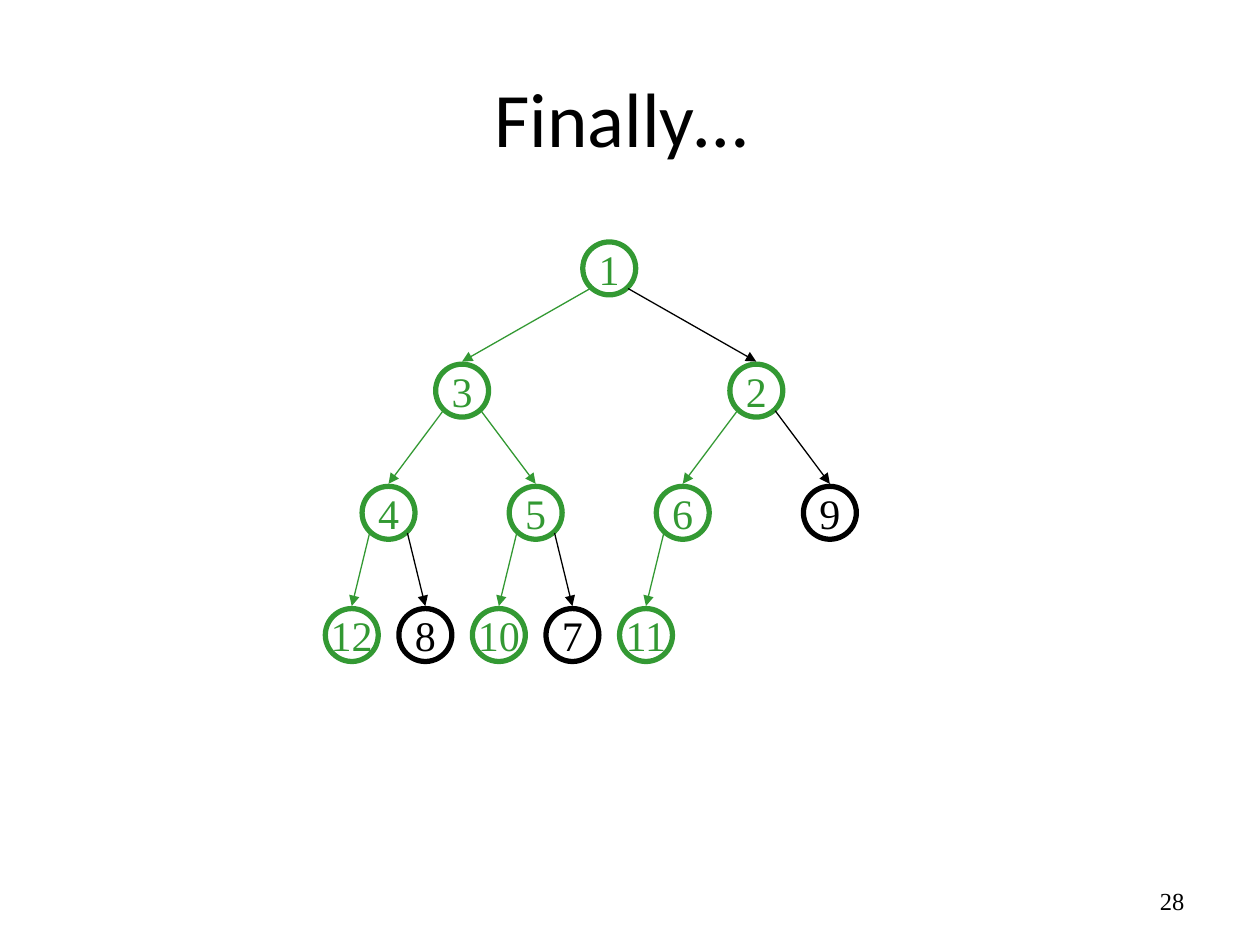
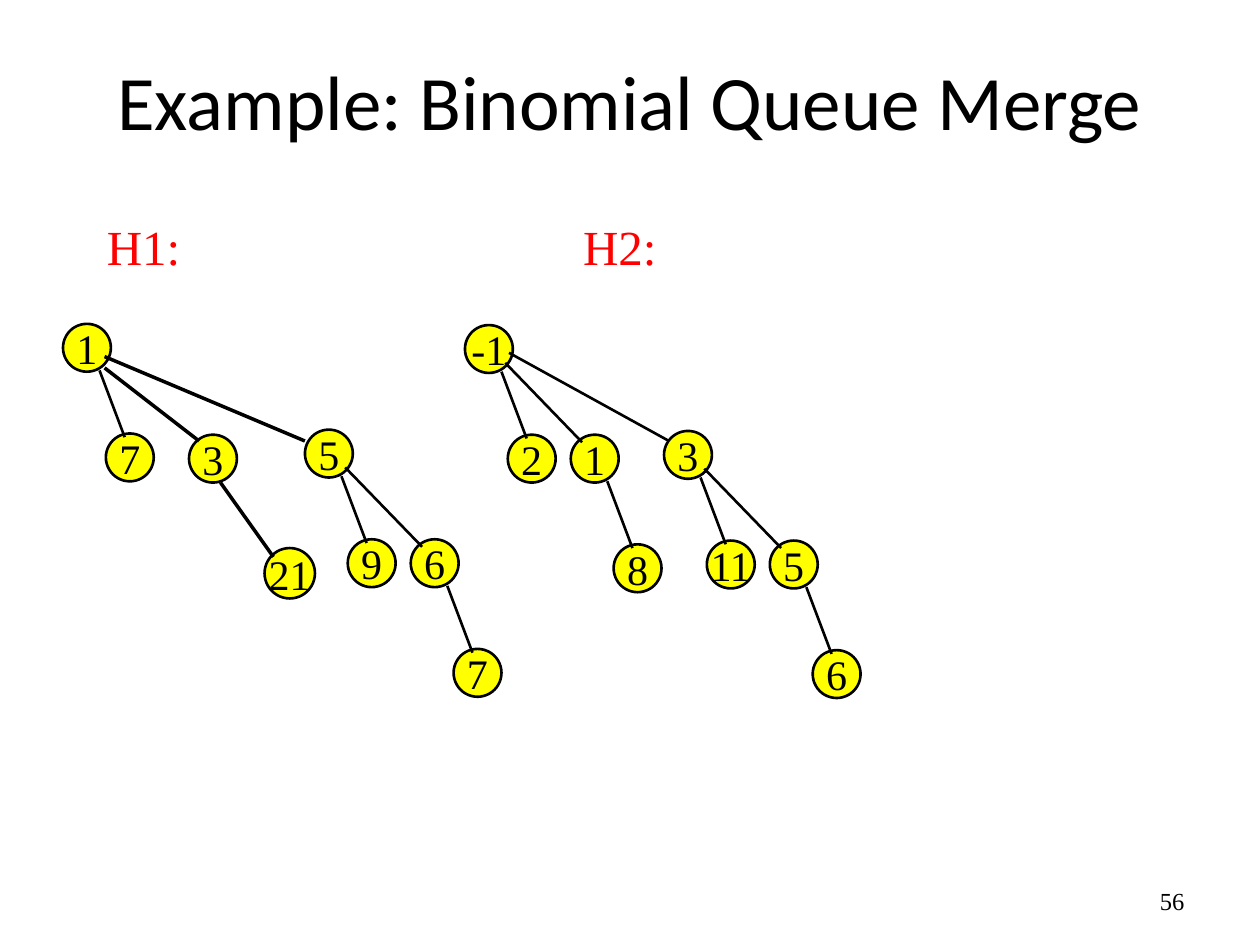
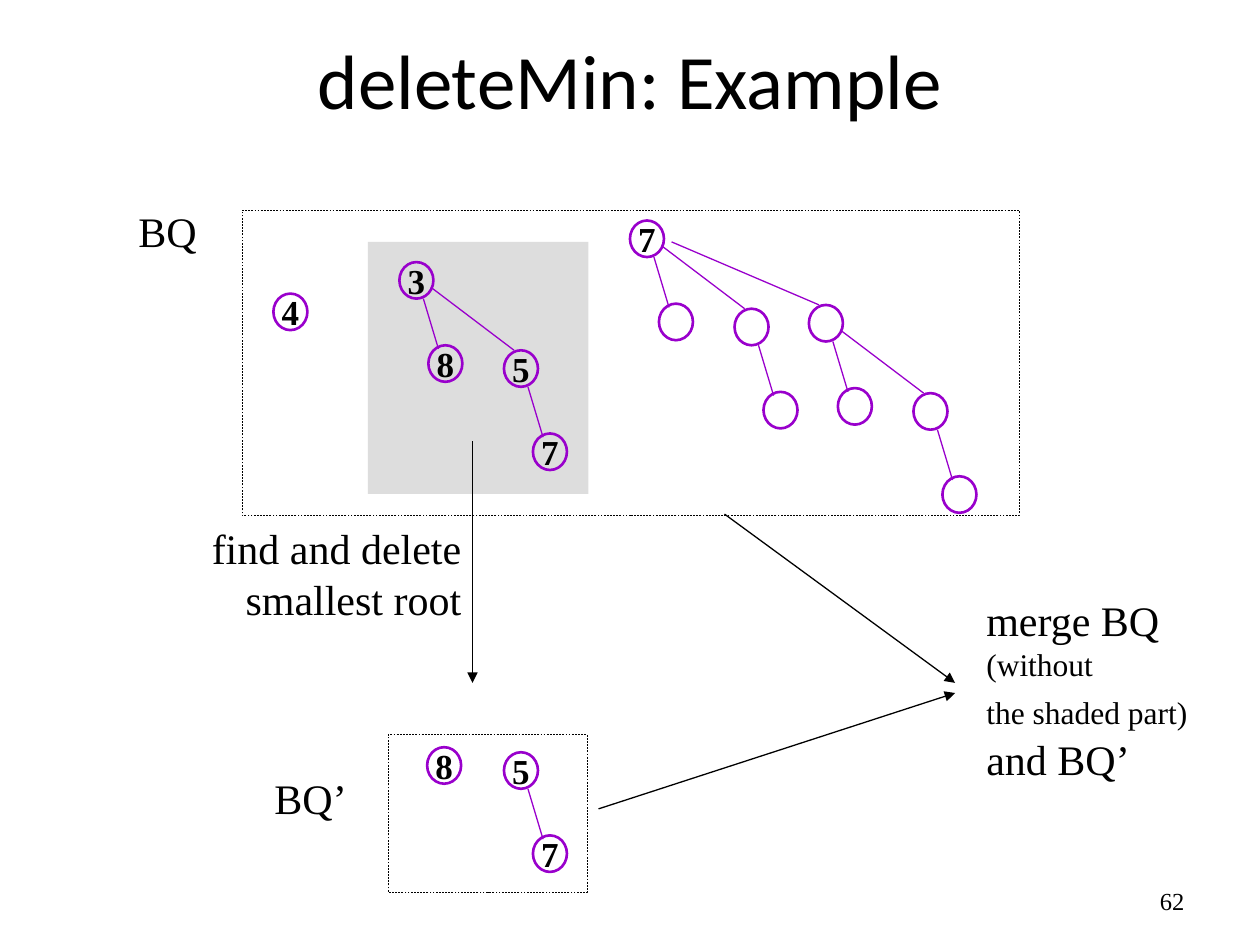
from dataclasses import dataclass, replace

from lxml.etree import SubElement
from pptx import Presentation
from pptx.dml.color import RGBColor
from pptx.enum.dml import MSO_LINE
from pptx.enum.shapes import MSO_CONNECTOR, MSO_SHAPE
from pptx.enum.text import MSO_ANCHOR, PP_ALIGN
from pptx.oxml.ns import qn
from pptx.util import Inches, Pt

BLACK = RGBColor(0x00, 0x00, 0x00)
GREEN = RGBColor(0x33, 0x99, 0x33)
YELLOW = RGBColor(0xFF, 0xFF, 0x00)
RED = RGBColor(0xFF, 0x00, 0x00)
PURPLE = RGBColor(0x99, 0x00, 0xCC)
GREY = RGBColor(0xDD, 0xDD, 0xDD)
TITLE_FONT = "Calibri"
BODY_FONT = "Times New Roman"


@dataclass
class NodeStyle:
    """Look of a round node."""
    width: float
    height: float
    line: RGBColor
    line_pt: float
    font_pt: int
    fill: RGBColor = None
    bold: bool = False
    color: RGBColor = BLACK


@dataclass
class TreeStyle:
    """Nodes and links of a binomial tree, as offsets from the parent's corner."""
    node: NodeStyle
    link_pt: float
    child: tuple
    child_link: tuple
    subtree: tuple
    subtree_link: tuple


HEAP_NODE = NodeStyle(0.42, 0.42, GREEN, 3, 24, color=GREEN)
MERGE_TREE = TreeStyle(
    NodeStyle(0.38, 0.38, BLACK, 1.5, 24, fill=YELLOW), 1.5,
    child=(0.34, 0.87), child_link=(0.29, 0.37, 0.49, 0.9),
    subtree=(0.84, 0.87), subtree_link=(0.32, 0.3, 0.93, 0.93))
DELETE_TREE = TreeStyle(
    NodeStyle(0.27, 0.29, PURPLE, 1.5, 20, bold=True), 0.75,
    child=(0.23, 0.66), child_link=(0.19, 0.29, 0.31, 0.69),
    subtree=(0.83, 0.7), subtree_link=(0.25, 0.2, 0.91, 0.7))


def format_font(font, size, color=BLACK, name=BODY_FONT, bold=False):
    """Set the family, size, colour and weight of a font."""
    font.name, font.size, font.bold = name, Pt(size), bold
    font.color.rgb = color


def add_slide(prs, title, number, left, top, width):
    """Add a slide with its title and page number."""
    s = prs.slides.add_slide(prs.slide_layouts[5])
    sp = s.shapes.title
    sp.left, sp.top = Inches(left), Inches(top)
    sp.width, sp.height = Inches(width), Inches(1.25)
    tf = sp.text_frame
    tf.text = title
    tf.vertical_anchor = MSO_ANCHOR.MIDDLE
    p = tf.paragraphs[0]
    p.alignment = PP_ALIGN.CENTER
    format_font(p.runs[0].font, 44, name=TITLE_FONT)
    tf = add_label(s, str(number), 7.17, 6.95, 2.33, 0.4, 14, align=PP_ALIGN.RIGHT)
    tf.vertical_anchor = MSO_ANCHOR.MIDDLE
    return s


def add_label(s, text, left, top, width, height, size=24, color=BLACK,
              align=PP_ALIGN.LEFT):
    """Add one paragraph of unwrapped text and return its frame."""
    sp = s.shapes.add_textbox(Inches(left), Inches(top), Inches(width), Inches(height))
    tf = sp.text_frame
    tf.word_wrap = False
    p = tf.paragraphs[0]
    p.text = text
    p.alignment = align
    for r in p.runs:
        format_font(r.font, size, color)
    return tf


def add_figure(s, kind, left, top, width, height, fill=None, line=None, line_pt=1):
    """Add a preset shape with an optional fill and outline."""
    sp = s.shapes.add_shape(kind, Inches(left), Inches(top), Inches(width), Inches(height))
    sp.shadow.inherit = False
    if fill is None:
        sp.fill.background()
    else:
        sp.fill.solid()
        sp.fill.fore_color.rgb = fill
    if line is None:
        sp.line.fill.background()
    else:
        sp.line.color.rgb = line
        sp.line.width = Pt(line_pt)
    return sp


def add_node(s, label, left, top, style):
    """Add a round node with its label."""
    sp = add_figure(s, MSO_SHAPE.OVAL, left, top, style.width, style.height,
                    style.fill, style.line, style.line_pt)
    if label:
        tf = sp.text_frame
        tf.text = label
        tf.word_wrap = False
        tf.vertical_anchor = MSO_ANCHOR.MIDDLE
        p = tf.paragraphs[0]
        p.alignment = PP_ALIGN.CENTER
        format_font(p.runs[0].font, style.font_pt, style.color, bold=style.bold)


def add_link(s, x1, y1, x2, y2, color=BLACK, width=0.75, arrow=False):
    """Add a straight line, with an arrowhead at its end if asked."""
    cxn = s.shapes.add_connector(MSO_CONNECTOR.STRAIGHT, Inches(x1), Inches(y1),
                                 Inches(x2), Inches(y2))
    cxn.line.color.rgb = color
    cxn.line.width = Pt(width)
    if arrow:
        SubElement(cxn.line._get_or_add_ln(), qn("a:tailEnd"), type="triangle")
    SubElement(cxn._element.spPr, qn("a:effectLst"))


def add_dashed_frame(s, left, top, width, height):
    """Add a thin dashed rectangle."""
    sp = add_figure(s, MSO_SHAPE.RECTANGLE, left, top, width, height,
                    line=BLACK, line_pt=0.25)
    sp.line.dash_style = MSO_LINE.DASH


def add_tree_link(s, left, top, offsets, style):
    """Add a link given by offsets from its parent node."""
    x1, y1, x2, y2 = offsets
    add_link(s, left + x1, top + y1, left + x2, top + y2, style.node.line, style.link_pt)


def add_pair(s, labels, left, top, style):
    """Add a binomial tree of two nodes."""
    dx, dy = style.child
    add_node(s, labels[0], left, top, style.node)
    add_node(s, labels[1], left + dx, top + dy, style.node)
    add_tree_link(s, left, top, style.child_link, style)


def add_quad(s, labels, left, top, style):
    """Add a binomial tree of four nodes, made of two pairs."""
    dx, dy = style.subtree
    add_pair(s, labels[:2], left, top, style)
    add_pair(s, labels[2:], left + dx, top + dy, style)
    add_tree_link(s, left, top, style.subtree_link, style)


def add_heap(s, values, black_nodes, black_links):
    """Add a binary heap, with its values listed level by level."""
    left, top, width, level_gap = 2.5, 2.13, 4.67, 0.97
    centers = []
    for i, value in enumerate(values):
        level = (i + 1).bit_length() - 1
        slots = 2 ** level
        x = left + width * (i + 1.5 - slots) / slots
        y = top + level * level_gap
        centers.append((x, y))
        style = HEAP_NODE
        if value in black_nodes:
            style = replace(style, line=BLACK, color=BLACK)
        add_node(s, str(value), x - style.width / 2, y - style.height / 2, style)
        if i > 0:
            px, py = centers[(i - 1) // 2]
            side = -0.15 if i % 2 else 0.15
            color = BLACK if value in black_links else GREEN
            add_link(s, px + side, py + 0.16, x, y - 0.23, color, arrow=True)


def build_heap_slide(prs):
    """Build the finished heap."""
    s = add_slide(prs, "Finally… ", 28, 0.5, 0.3, 9)
    add_heap(s, [1, 3, 2, 4, 5, 6, 9, 12, 8, 10, 7, 11],
             black_nodes={7, 8, 9}, black_links={2, 7, 8, 9})


def build_merge_slide(prs):
    """Build the two binomial queues to be merged."""
    s = add_slide(prs, "Example: Binomial Queue Merge", 56, 0.75, 0.17, 8.5)
    tree = MERGE_TREE
    add_pair(s, ["1", "7"], 0.5, 2.57, tree)
    add_node(s, "3", 1.5, 3.45, tree.node)
    add_node(s, "21", 2.1, 4.35, replace(tree.node, width=0.4, height=0.4))
    add_quad(s, ["5", "9", "6", "7"], 2.42, 3.41, tree)
    add_quad(s, ["-1", "2", "1", "8"], 3.69, 2.58, tree)
    add_quad(s, ["3", "11", "5", "6"], 5.27, 3.42, tree)
    add_link(s, 4.04, 2.8, 5.31, 3.5, width=1.5)
    for ends in [(1.75, 3.83, 2.17, 4.42), (0.83, 2.92, 1.58, 3.5), (0.83, 2.83, 2.42, 3.5)]:
        add_link(s, *ends, width=2)
    tf = add_label(s, "H1:\tH2:", 0.75, 1.67, 4.56, 0.57, 28, RED)
    tabs = SubElement(tf.paragraphs[0]._p.get_or_add_pPr(), qn("a:tabLst"))
    SubElement(tabs, qn("a:tab"), pos=str(Inches(3.78)), algn="l")


def add_merge_note(s):
    """Add the wrapped note on the merge step, in two text sizes."""
    tf = add_label(s, "", 7.73, 4.67, 2.27, 1.6)
    tf.word_wrap = True
    p = tf.paragraphs[0]
    p.text = "merge BQ "
    p.add_run().text = "(without"
    p.add_line_break()
    p.add_run().text = "the shaded part)"
    p.add_run().text = " and BQ’"
    for r, size in zip(p.runs, [24, 18, 18, 24]):
        format_font(r.font, size)


def build_delete_slide(prs):
    """Build the deleteMin steps on a binomial queue."""
    s = add_slide(prs, "deleteMin: Example", 62, 0.75, 0, 8.5)
    tree = DELETE_TREE
    add_figure(s, MSO_SHAPE.RECTANGLE, 2.92, 1.92, 1.75, 2, fill=GREY)
    add_node(s, "4", 2.17, 2.33, tree.node)
    add_quad(s, ["3", "8", "5", "7"], 3.17, 2.08, tree)
    add_quad(s, [""] * 4, 6.42, 2.42, tree)
    add_quad(s, ["7", "", "", ""], 5, 1.75, tree)
    add_link(s, 5.33, 1.92, 6.5, 2.42, PURPLE)
    add_dashed_frame(s, 1.92, 1.67, 6.17, 2.42)
    add_node(s, "8", 3.39, 5.93, tree.node)
    add_pair(s, ["5", "7"], 4, 5.97, tree)
    add_dashed_frame(s, 3.08, 5.83, 1.58, 1.25)
    for ends in [(3.75, 3.5, 3.75, 5.42), (4.75, 6.42, 7.58, 5.5), (5.75, 4.08, 7.58, 5.42)]:
        add_link(s, *ends, arrow=True)
    add_label(s, "BQ", 1, 1.58, 0.66, 0.5)
    add_label(s, "find and delete\vsmallest root", 1.58, 4.1, 2.18, 0.9, align=PP_ALIGN.RIGHT)
    add_label(s, "BQ’", 2.08, 6.08, 0.78, 0.5)
    add_merge_note(s)


def main():
    """Build and save the presentation."""
    prs = Presentation()
    prs.slide_width, prs.slide_height = Inches(10), Inches(7.5)
    build_heap_slide(prs)
    build_merge_slide(prs)
    build_delete_slide(prs)
    prs.save("out.pptx")


if __name__ == "__main__":
    main()
